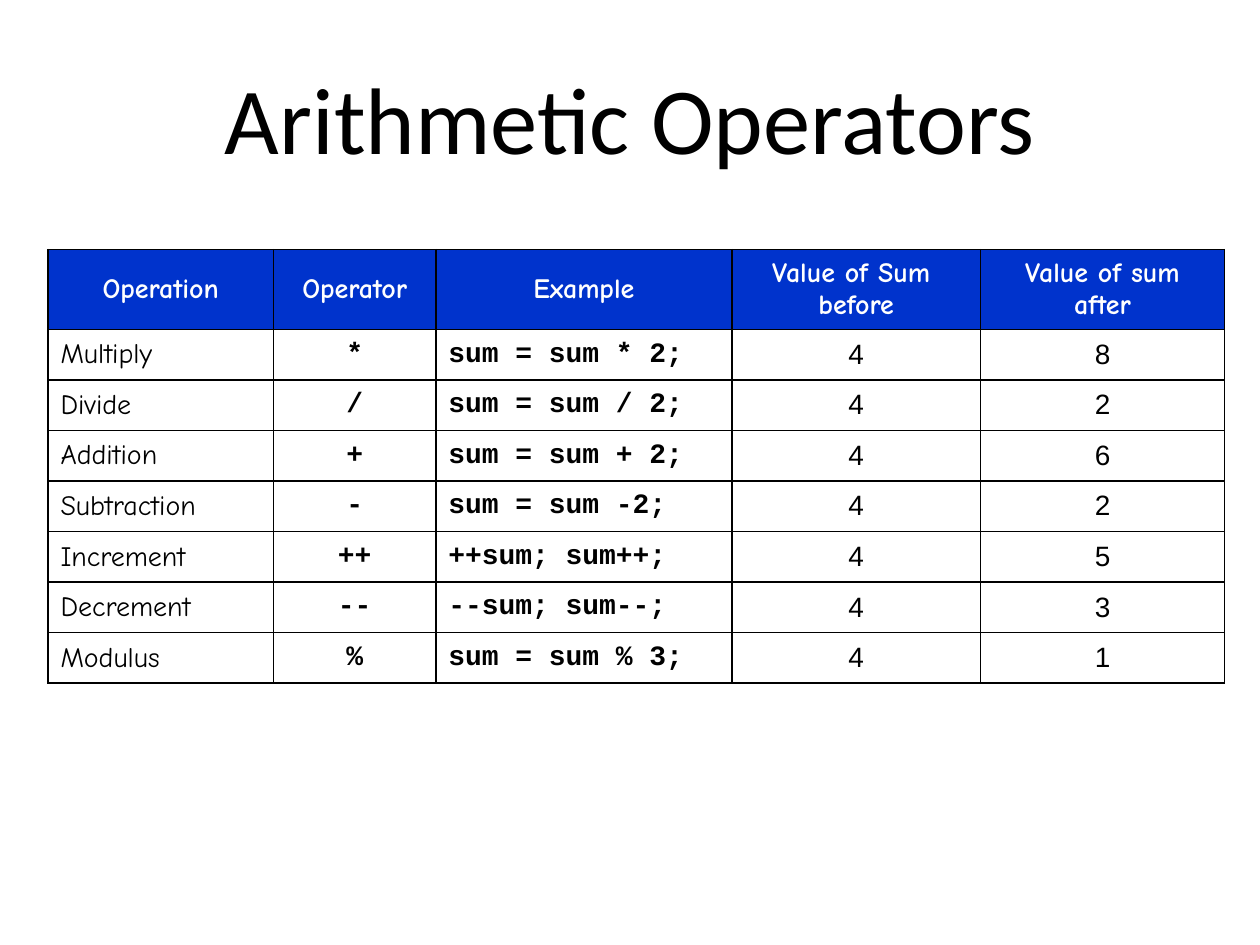
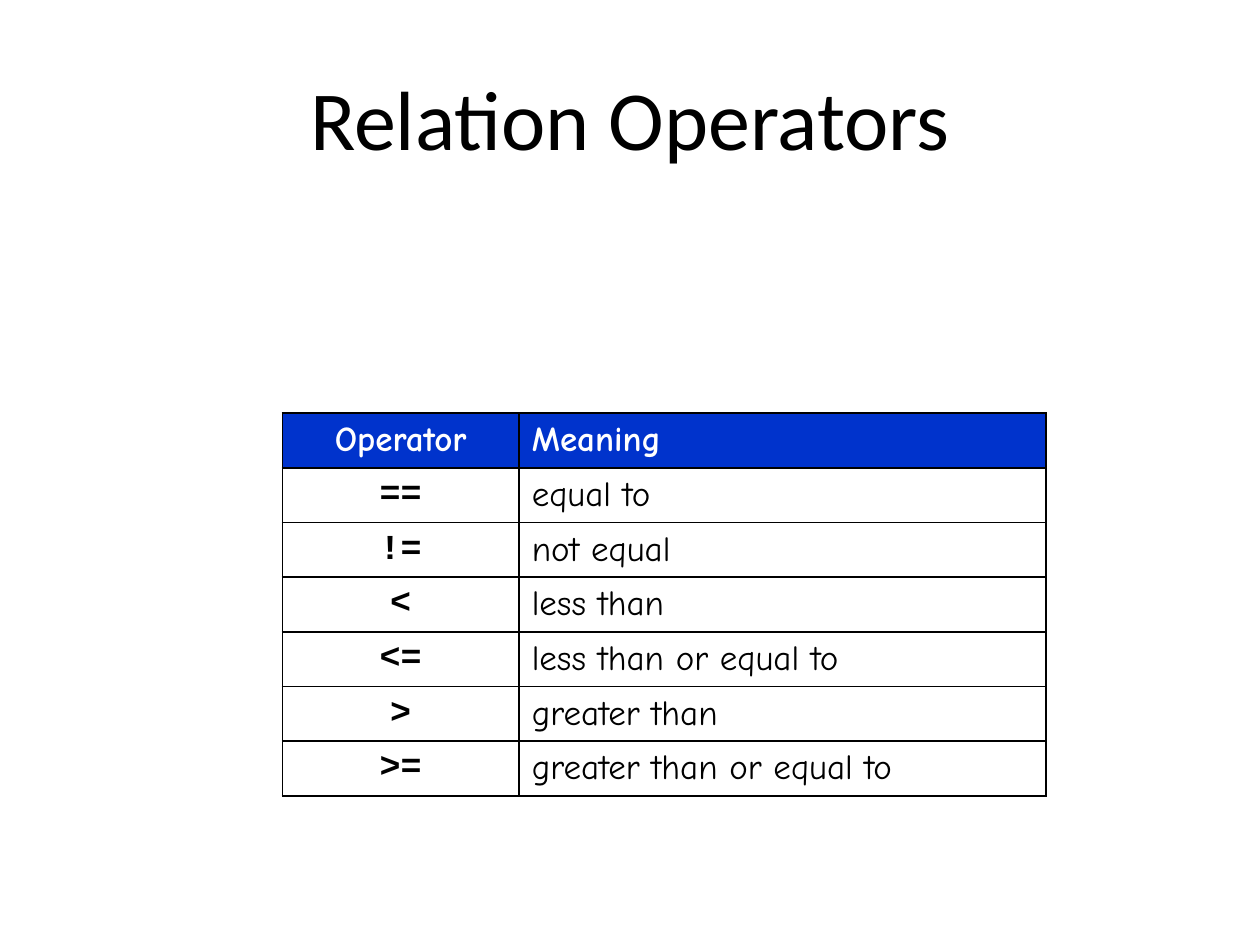
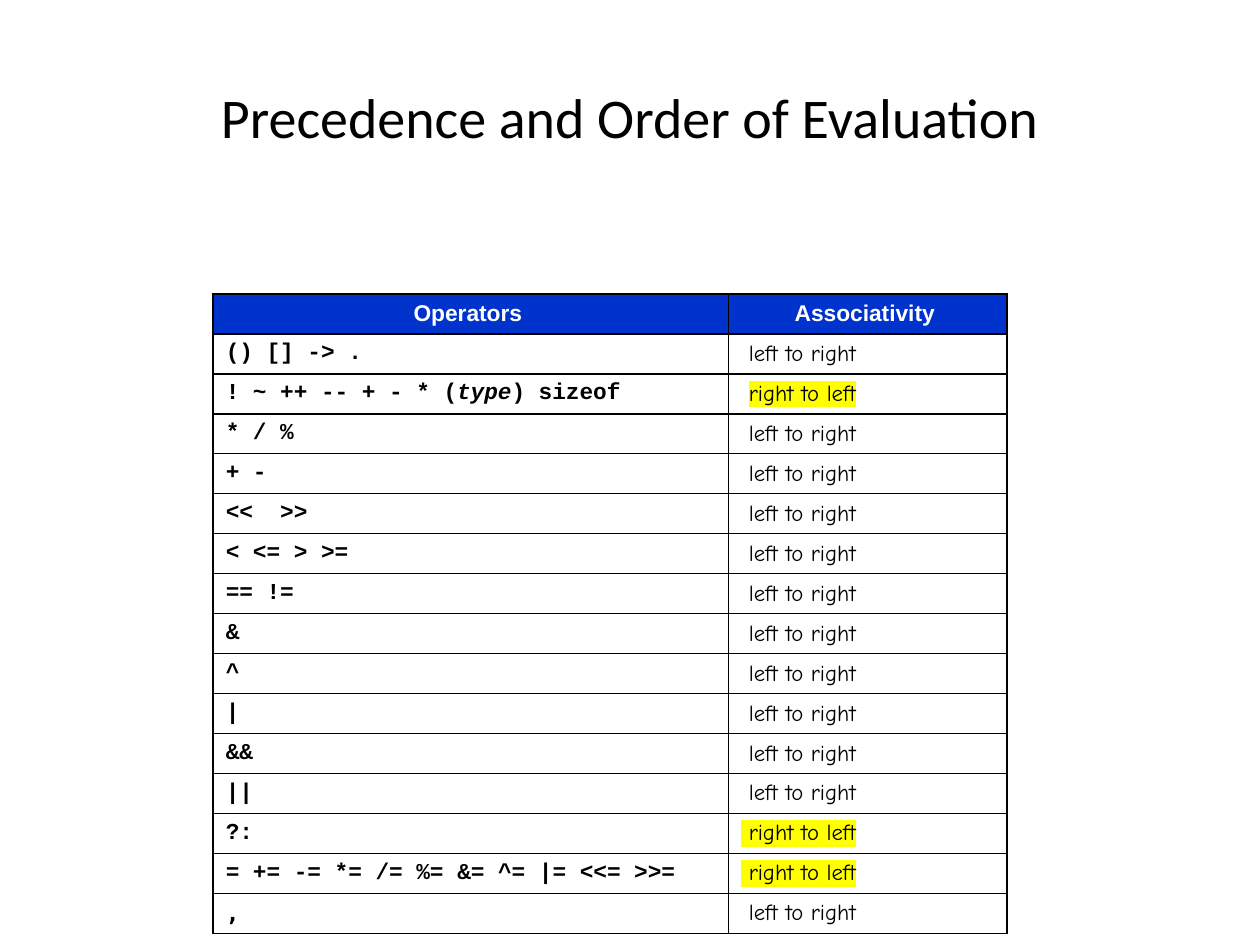
"""Build three slides of operator tables for a programming lesson."""
import dataclasses

import pptx
import pptx.dml.color
import pptx.enum.text
import pptx.oxml
import pptx.oxml.ns
import pptx.util

Pt = pptx.util.Pt
RGB = pptx.dml.color.RGBColor.from_string
CENTER = pptx.enum.text.PP_ALIGN.CENTER
LEFT = pptx.enum.text.PP_ALIGN.LEFT
MIDDLE = pptx.enum.text.MSO_ANCHOR.MIDDLE


@dataclasses.dataclass(frozen=True)
class Theme:
    ink: str = "000000"
    paper: str = "FFFFFF"
    header: str = "0033CC"
    marker: str = "FFFF00"
    title_font: str = "Calibri"
    word_font: str = "Comic Neue"
    code_font: str = "Courier New"
    number_font: str = "Arial"
    comma_font: str = "DejaVu Sans Mono"
    arithmetic_title: int = 54
    relation_title: int = 48
    precedence_title: int = 32
    arithmetic_size: int = 16
    relation_size: int = 20
    precedence_size: int = 13
    border: int = 1


THEME = Theme()
SLIDE_SIZE = (720, 540)
TITLE_BOX = (36, 21.6, 648, 90)

WORD = (THEME.word_font, False, LEFT)
CODE = (THEME.code_font, True, LEFT)
SYMBOL = (THEME.code_font, True, CENTER)
NUMBER = (THEME.number_font, False, CENTER)

FORWARD = " left to right"
BACKWARD = ((" right to left", "marked"),)

LESSONS = [
    {
        "title": "Arithmetic Operators",
        "title_size": THEME.arithmetic_title,
        "size": THEME.arithmetic_size,
        "corner": (27.4, 142.6),
        "row_heights": (44, 28.9),
        "columns": [(128.9, WORD), (92.8, SYMBOL), (169.2, CODE), (141.9, NUMBER), (139.7, NUMBER)],
        "header_font": THEME.word_font,
        "header_aligns": [CENTER] * 5,
        "header": ["Operation", "Operator", "Example", "Value of Sum \nbefore", "Value of sum\nafter"],
        "rows": [
            ("Multiply", "*", "sum = sum * 2;", "4", "8"),
            ("Divide", "/", "sum = sum / 2;", "4", "2"),
            ("Addition", "+", "sum = sum + 2;", "4", "6"),
            ("Subtraction", "-", "sum = sum -2;", "4", "2"),
            ("Increment", "++", "++sum; sum++;", "4", "5"),
            ("Decrement", "--", "--sum; sum--;", "4", "3"),
            ("Modulus", "%", "sum = sum % 3;", "4", "1"),
        ],
    },
    {
        "title": "Relation Operators",
        "title_size": THEME.relation_title,
        "size": THEME.relation_size,
        "corner": (161.3, 236.1),
        "row_heights": (30.3, 30.3),
        "columns": [(135.4, SYMBOL), (301, WORD)],
        "header_font": THEME.word_font,
        "header_aligns": [CENTER, LEFT],
        "header": ["Operator", "Meaning"],
        "rows": [
            ("==", "equal to"),
            ("!=", "not equal"),
            ("<", "less than"),
            ("<=", "less than or equal to"),
            (">", "greater than"),
            (">=", "greater than or equal to"),
        ],
    },
    {
        "title": "Precedence and Order of Evaluation",
        "title_size": THEME.precedence_title,
        "size": THEME.precedence_size,
        "corner": (121.8, 167.9),
        "row_heights": (22.1, 22.1),
        "columns": [(294.6, CODE), (159, WORD)],
        "header_font": THEME.number_font,
        "header_aligns": [CENTER, CENTER],
        "header": ["Operators ", "Associativity "],
        "rows": [
            ("() [] -> .", FORWARD),
            (
                (("! ~ ++ -- + - * (", ""), ("type", "italic"), (") sizeof", "")),
                ((" ", ""), ("right to left", "marked")),
            ),
            ("* / %", FORWARD),
            ("+ -", FORWARD),
            ("<<  >>", FORWARD),
            ("< <= > >=", FORWARD),
            ("== !=", FORWARD),
            ("&", FORWARD),
            ("^", FORWARD),
            ("|", FORWARD),
            ("&&", FORWARD),
            ("||", FORWARD),
            ("?:", BACKWARD),
            ("= += -= *= /= %= &= ^= |= <<= >>=", BACKWARD),
            (((",", "comma"),), FORWARD),
        ],
    },
]


def style_run(run, font, size, color, bold=False):
    run.font.name = font
    run.font.size = Pt(size)
    run.font.bold = bold
    run.font.color.rgb = RGB(color)


def mark_run(run, mark):
    if mark == "italic":
        run.font.italic = True
    elif mark == "comma":
        run.font.name = THEME.comma_font
    elif mark == "marked":
        highlight = pptx.oxml.parse_xml(
            f'<a:highlight {pptx.oxml.ns.nsdecls("a")}><a:srgbClr val="{THEME.marker}"/></a:highlight>'
        )
        run.font.fill._xPr.find(pptx.oxml.ns.qn("a:solidFill")).addnext(highlight)


def draw_borders(cell):
    properties = cell._tc.get_or_add_tcPr()
    for side in "LRTB":
        properties.append(pptx.oxml.parse_xml(
            f'<a:ln{side} {pptx.oxml.ns.nsdecls("a")} w="{Pt(THEME.border)}"><a:solidFill>'
            f'<a:srgbClr val="{THEME.ink}"/></a:solidFill></a:ln{side}>'
        ))


def fill_cell(cell, content, style, size, color, background):
    font, bold, align = style
    draw_borders(cell)
    cell.fill.solid()
    cell.fill.fore_color.rgb = RGB(background)
    cell.vertical_anchor = MIDDLE
    pieces = ((content, ""),) if isinstance(content, str) else content
    cell.text_frame.text = pieces[0][0]
    for wording, _ in pieces[1:]:
        cell.text_frame.paragraphs[0].add_run().text = wording
    for paragraph in cell.text_frame.paragraphs:
        paragraph.alignment = align
        for run, (_, mark) in zip(paragraph.runs, pieces):
            style_run(run, font, size, color, bold)
            mark_run(run, mark)


def add_title(slide, wording, size):
    frame = slide.shapes.add_textbox(*map(Pt, TITLE_BOX)).text_frame
    frame.word_wrap = True
    frame.vertical_anchor = MIDDLE
    frame.text = wording
    frame.paragraphs[0].alignment = CENTER
    style_run(frame.paragraphs[0].runs[0], THEME.title_font, size, THEME.ink)


def add_operators(slide, lesson):
    widths, styles = zip(*lesson["columns"])
    header_height, row_height = lesson["row_heights"]
    heights = [header_height] + [row_height] * len(lesson["rows"])
    box = (*lesson["corner"], sum(widths), sum(heights))
    operators = slide.shapes.add_table(len(heights), len(widths), *map(Pt, box)).table
    operators.first_row = operators.horz_banding = False
    for column, width in zip(operators.columns, widths):
        column.width = Pt(width)
    for row, height in zip(operators.rows, heights):
        row.height = Pt(height)
    header_styles = [(lesson["header_font"], True, align) for align in lesson["header_aligns"]]
    for r, contents in enumerate([lesson["header"], *lesson["rows"]]):
        row_styles = styles if r else header_styles
        colors = (THEME.ink, THEME.paper) if r else (THEME.paper, THEME.header)
        for c, (content, style) in enumerate(zip(contents, row_styles)):
            fill_cell(operators.cell(r, c), content, style, lesson["size"], *colors)


def main():
    deck = pptx.Presentation()
    deck.slide_width, deck.slide_height = map(Pt, SLIDE_SIZE)
    for lesson in LESSONS:
        slide = deck.slides.add_slide(deck.slide_layouts[6])
        add_title(slide, lesson["title"], lesson["title_size"])
        add_operators(slide, lesson)
    deck.save("out.pptx")


if __name__ == "__main__":
    main()
